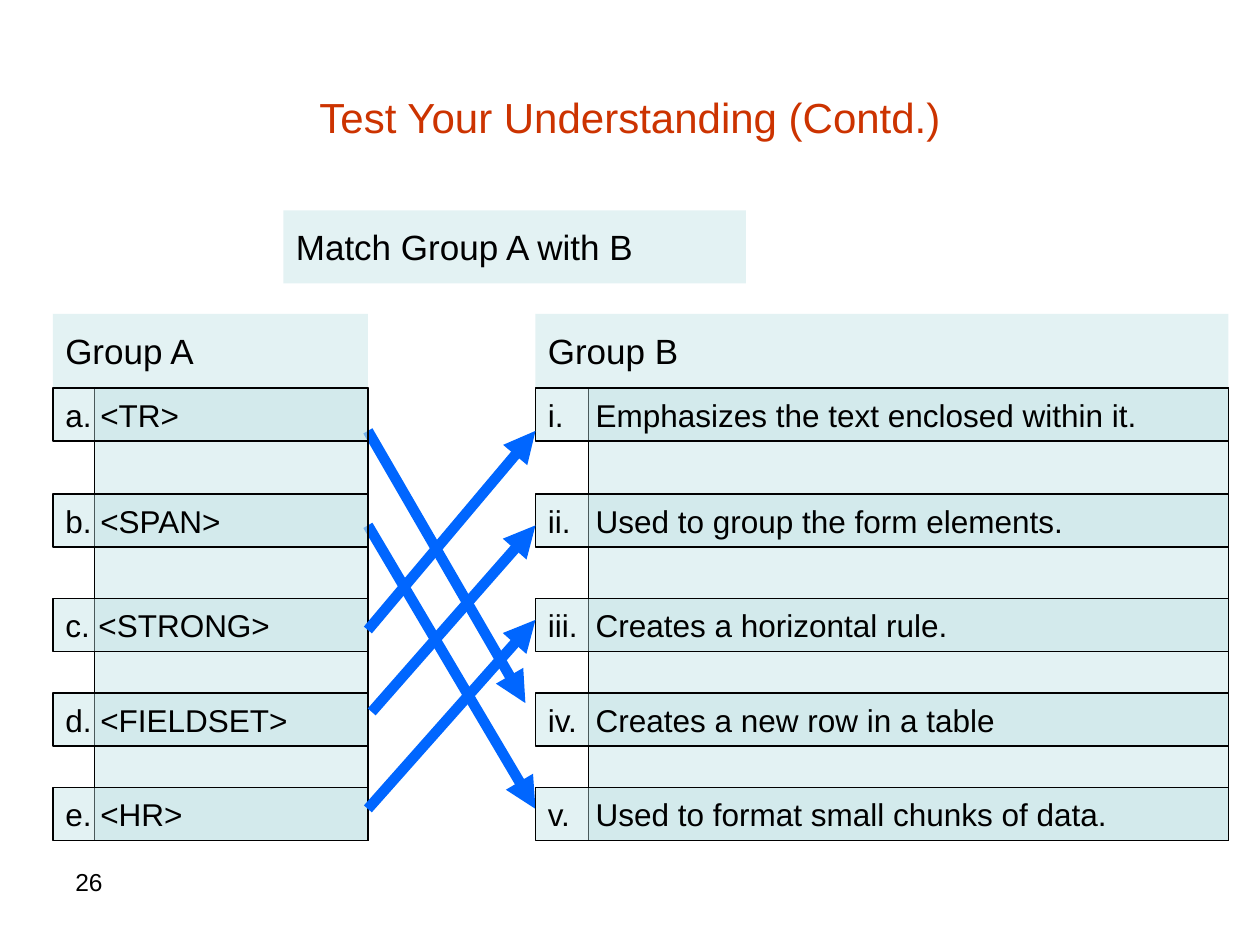
from lxml.etree import SubElement
from pptx import Presentation
from pptx.dml.color import RGBColor
from pptx.enum.shapes import MSO_CONNECTOR, MSO_SHAPE
from pptx.enum.text import MSO_ANCHOR, PP_ALIGN
from pptx.oxml.ns import qn
from pptx.util import Inches, Pt

COLORS = {"text": "000000", "title": "CC3300", "panel": "BBE0E3", "arrow": "0066FF"}
FONT = "Arial"
ROW_TOPS = (3.08, 3.92, 4.75, 5.5, 6.25)
ROW_HEIGHT = 0.42
GROUP_A = {
    "heading": "Group A", "left": 0.42, "width": 2.5, "label_width": 0.33,
    "rows": ("a. <TR>", "b. <SPAN>", "c. <STRONG>", "d. <FIELDSET>", "e. <HR>"),
}
GROUP_B = {
    "heading": "Group B", "left": 4.25, "width": 5.5, "label_width": 0.42,
    "rows": (
        "i.\tEmphasizes the text enclosed within it.",
        "ii.\tUsed to group the form elements.",
        "iii.\tCreates a horizontal rule.",
        "iv.\tCreates a new row in a table",
        "v.\tUsed to format small chunks of data.",
    ),
}
TEXT_TAB = 0.38
FALLING_ARROWS = ((2.92, 3.42, 4.17, 5.58), (2.92, 4.17, 4.25, 6.42))
RISING_ARROWS = ((2.92, 5, 4.25, 3.42), (2.95, 5.65, 4.25, 4.17), (2.92, 6.42, 4.25, 4.92))


def color(name):
    return RGBColor.from_string(COLORS[name])


def write(shape, text, size, color_name="text", align=PP_ALIGN.LEFT, anchor=MSO_ANCHOR.MIDDLE):
    frame = shape.text_frame
    frame.word_wrap = True
    frame.vertical_anchor = anchor
    para = frame.paragraphs[0]
    para.text = text
    para.alignment = align
    if "\t" in text:
        tabs = SubElement(para._p.get_or_add_pPr(), qn("a:tabLst"))
        SubElement(tabs, qn("a:tab"), pos=str(Inches(TEXT_TAB)), algn="l")
    para.font.name = FONT
    para.font.size = Pt(size)
    para.font.color.rgb = color(color_name)
    return para


def add_text(page, left, top, width, height, *args, **style):
    box = page.shapes.add_textbox(*map(Inches, (left, top, width, height)))
    return write(box, *args, **style)


def add_panel(page, left, top, width, height, text="", size=18, outlined=True):
    """Add a translucent rectangle, with text if there is any."""
    panel = page.shapes.add_shape(
        MSO_SHAPE.RECTANGLE, *map(Inches, (left, top, width, height)))
    panel.shadow.inherit = False
    panel.fill.solid()
    panel.fill.fore_color.rgb = color("panel")
    fill = panel._element.spPr.find(qn("a:solidFill"))
    SubElement(fill[0], qn("a:alpha"), val="40000")
    if outlined:
        panel.line.color.rgb = color("text")
        panel.line.width = Pt(1)
    else:
        panel.line.fill.background()
    if text:
        write(panel, text, size)


def add_arrow(page, x1, y1, x2, y2):
    arrow = page.shapes.add_connector(
        MSO_CONNECTOR.STRAIGHT, *map(Inches, (x1, y1, x2, y2)))
    arrow.line.color.rgb = color("arrow")
    arrow.line.width = Pt(6)
    SubElement(arrow.line._get_or_add_ln(), qn("a:tailEnd"), type="triangle")
    SubElement(arrow._element.spPr, qn("a:effectLst"))


def add_group(page, heading, left, width, label_width, rows):
    """Add a heading, the column behind the answers and one panel a row."""
    top, bottom = ROW_TOPS[0], ROW_TOPS[-1] + ROW_HEIGHT
    add_panel(page, left + label_width, top, width - label_width, bottom - top)
    for row_top, text in zip(ROW_TOPS, rows):
        add_panel(page, left, row_top, width, ROW_HEIGHT, text)
    add_panel(page, left, 2.49, width, 0.58, heading, size=20, outlined=False)


def add_title(page, text):
    para = add_text(page, 0.5, 0.3, 9, 1.25, text, 24, "title", align=PP_ALIGN.CENTER)
    effects = SubElement(para.runs[0]._r.get_or_add_rPr(), qn("a:effectLst"))
    shadow = SubElement(effects, qn("a:outerShdw"), dist=str(Pt(2)), dir="2700000")
    SubElement(shadow, qn("a:srgbClr"), val=COLORS["text"])


def main():
    deck = Presentation()
    deck.slide_width, deck.slide_height = Inches(10), Inches(7.5)
    page = deck.slides.add_slide(deck.slide_layouts[6])
    add_text(page, 0.5, 6.83, 2.33, 0.52, "26", 14, anchor=MSO_ANCHOR.TOP)
    for ends in FALLING_ARROWS:
        add_arrow(page, *ends)
    for group in (GROUP_A, GROUP_B):
        add_group(page, **group)
    add_panel(page, 2.25, 1.67, 3.67, 0.58, "Match Group A with B", size=20, outlined=False)
    for ends in RISING_ARROWS:
        add_arrow(page, *ends)
    add_title(page, "Test Your Understanding (Contd.)")
    deck.save("out.pptx")


if __name__ == "__main__":
    main()
